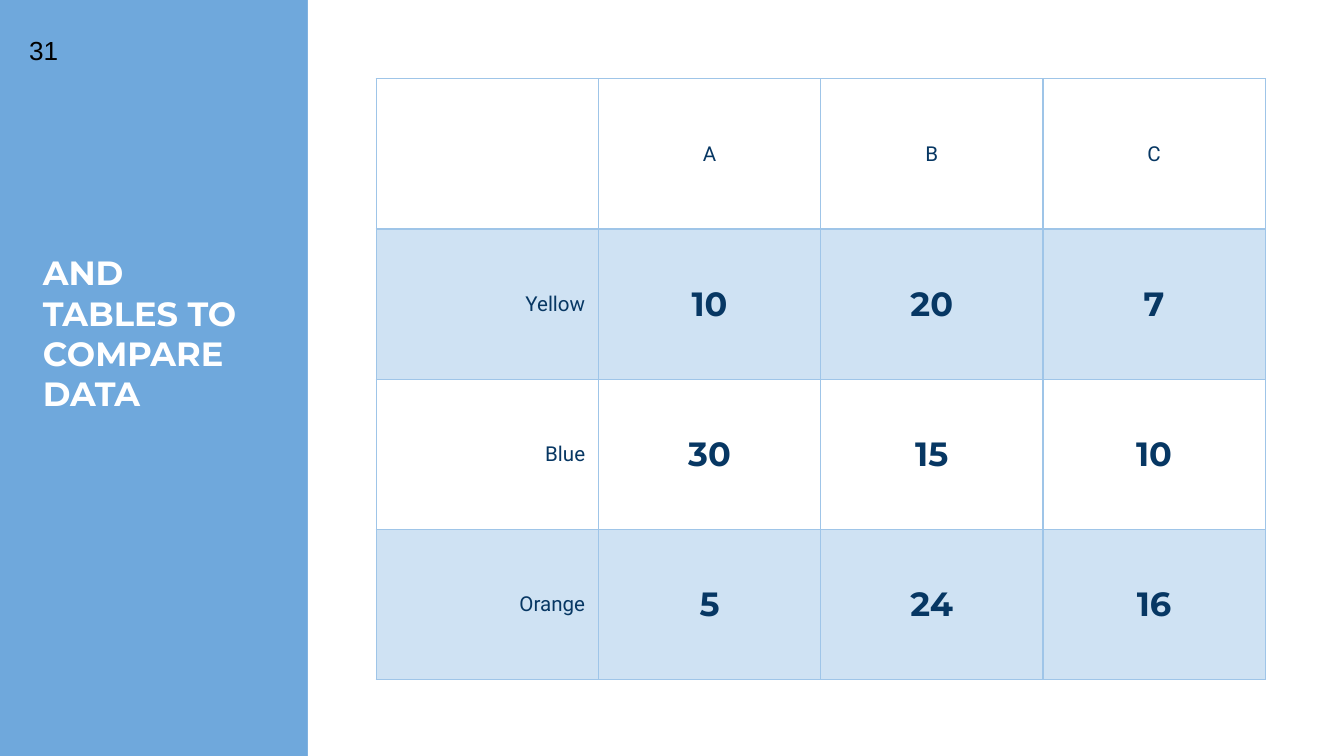
from dataclasses import dataclass

from lxml import etree
from pptx import Presentation
from pptx import util as u
from pptx.dml.color import RGBColor
from pptx.enum import shapes, text
from pptx.oxml.ns import qn

COLORS = {
    "background": "6FA8DC",
    "panel": "FFFFFF",
    "title": "FFFFFF",
    "number": "000000",
    "ink": "073763",
    "band": "CFE2F3",
    "border": "9FC5E8",
}
COLUMN_WIDTH, ROW_HEIGHT = u.Cm(4.2), u.Cm(2.84)
ALIGN = text.PP_ALIGN


@dataclass
class Style:
    font: str
    size: float
    color: str
    bold: bool = False


@dataclass
class Box:
    left: float
    top: float
    width: float
    height: float

    def lengths(self) -> list[u.Length]:
        return [u.Cm(v) for v in (self.left, self.top, self.width, self.height)]


TITLE = Style("Montserrat", 18, "title", True)
NUMBER = Style("Arial", 14, "number")
LABEL = Style("Roboto", 11, "ink")
VALUE = Style("Montserrat", 18, "ink", True)

ROWS = [
    ("", "A", "B", "C"),
    ("Yellow", "10", "20", "7"),
    ("Blue", "30", "15", "10"),
    ("Orange", "5", "24", "16"),
]


def rgb(name: str) -> RGBColor:
    return RGBColor.from_string(COLORS[name])


def write(tf, content: str, *, style: Style, align=ALIGN.LEFT) -> None:
    p = tf.paragraphs[0]
    p.alignment = align
    r = p.add_run()
    r.text = content
    r.font.name = style.font
    r.font.size = u.Pt(style.size)
    r.font.bold = style.bold
    r.font.color.rgb = rgb(style.color)


def add_text(s, box: Box, content: str, *, style: Style) -> None:
    tf = s.shapes.add_textbox(*box.lengths()).text_frame
    tf.word_wrap = True
    tf.margin_left = tf.margin_right = tf.margin_top = tf.margin_bottom = u.Cm(0.25)
    write(tf, content, style=style)


def add_borders(cell) -> None:
    props = cell._tc.get_or_add_tcPr()
    for side in ("lnL", "lnR", "lnT", "lnB"):
        line = etree.SubElement(props, qn(f"a:{side}"), w=str(u.Pt(0.75)))
        fill = etree.SubElement(line, qn("a:solidFill"))
        etree.SubElement(fill, qn("a:srgbClr"), val=COLORS["border"])


def add_data_table(s, left: float, top: float, rows: list[tuple[str, ...]]) -> None:
    n_rows, n_cols = len(rows), len(rows[0])
    table = s.shapes.add_table(
        n_rows, n_cols, u.Cm(left), u.Cm(top),
        COLUMN_WIDTH * n_cols, ROW_HEIGHT * n_rows,
    ).table
    table.first_row = table.horz_banding = False
    for column in table.columns:
        column.width = COLUMN_WIDTH
    for i, row in enumerate(rows):
        table.rows[i].height = ROW_HEIGHT
        for j, content in enumerate(row):
            cell = table.cell(i, j)
            cell.vertical_anchor = text.MSO_ANCHOR.MIDDLE
            cell.margin_left = cell.margin_right = u.Cm(0.25)
            cell.margin_top = cell.margin_bottom = u.Cm(0.18)
            add_borders(cell)
            if i % 2:
                cell.fill.solid()
                cell.fill.fore_color.rgb = rgb("band")
            else:
                cell.fill.background()
            if content:
                write(
                    cell.text_frame, content,
                    style=VALUE if i and j else LABEL,
                    align=ALIGN.CENTER if j else ALIGN.RIGHT,
                )


def add_panel(s, box: Box) -> None:
    sp = s.shapes.add_shape(shapes.MSO_SHAPE.RECTANGLE, *box.lengths())
    sp.shadow.inherit = False
    sp.fill.solid()
    sp.fill.fore_color.rgb = rgb("panel")
    sp.line.fill.background()


def main() -> None:
    prs = Presentation()
    prs.slide_width, prs.slide_height = u.Cm(25.4), u.Cm(14.29)
    s = prs.slides.add_slide(prs.slide_layouts[6])
    s.background.fill.solid()
    s.background.fill.fore_color.rgb = rgb("background")
    add_panel(s, Box(5.82, 0, 19.58, 14.29))
    add_text(s, Box(0.56, 4.52, 4.75, 2.39), "AND TABLES TO COMPARE DATA", style=TITLE)
    add_data_table(s, 7.11, 1.49, ROWS)
    add_text(s, Box(0.3, 0.41, 5.03, 3.48), "31", style=NUMBER)
    prs.save("out.pptx")


if __name__ == "__main__":
    main()
